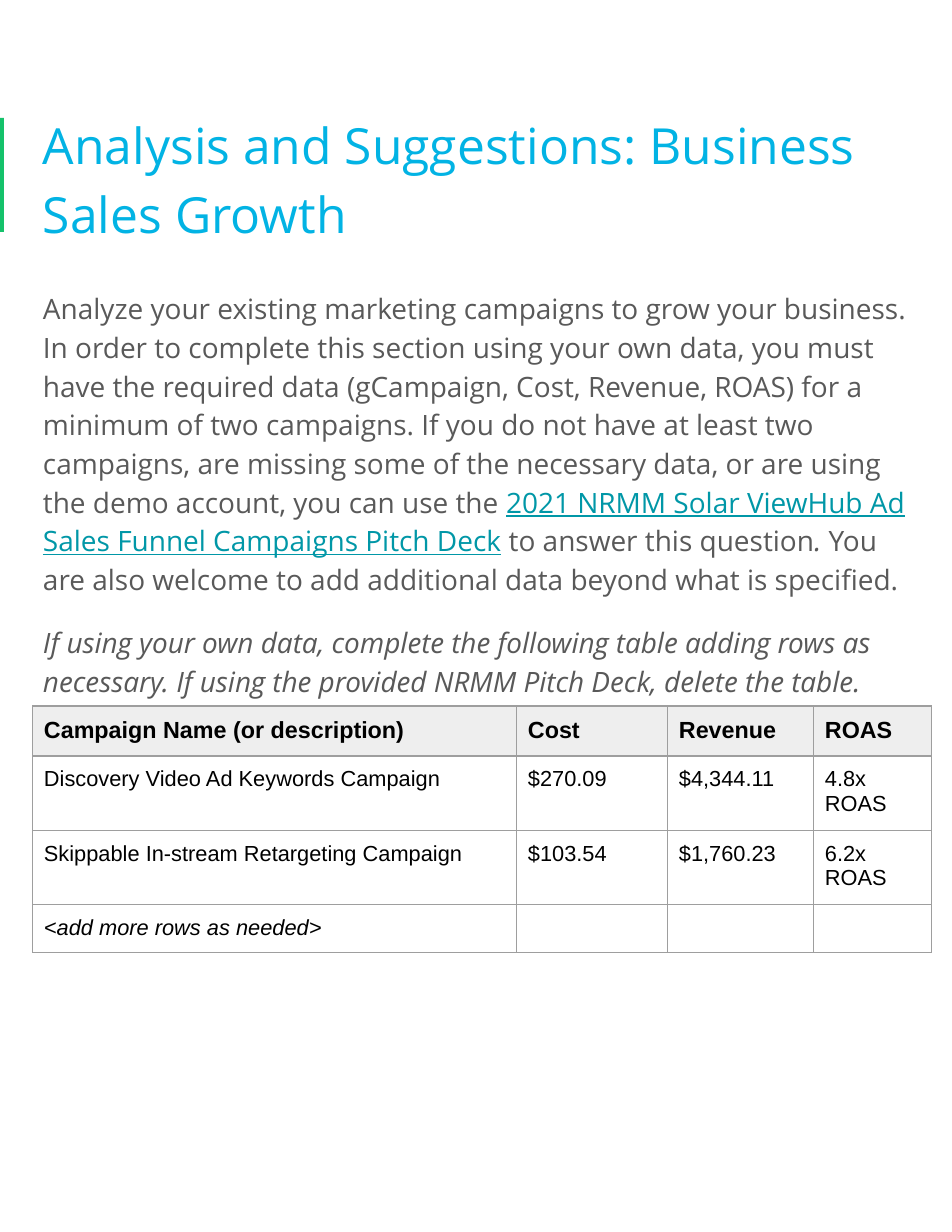
import pptx
import pptx.dml.color
import pptx.enum.shapes
import pptx.enum.text
import pptx.oxml
import pptx.oxml.ns
import pptx.util

PX = pptx.util.Inches(1) / 112
INSET = 11
COLORS = {
    "accent": "15C26B",
    "title": "02B3E4",
    "body": "595959",
    "link": "0097A7",
    "cell": "000000",
    "header": "EEEEEE",
    "border": "9E9E9E",
}


def px(*lengths):
    return [pptx.util.Emu(round(length * PX)) for length in lengths]


def add_run(paragraph, text, size, color, name="Open Sans", **formats):
    run = paragraph.add_run()
    run.text = text
    formats.update(size=pptx.util.Pt(size), name=name)
    for attribute, value in formats.items():
        setattr(run.font, attribute, value)
    run.font.color.rgb = pptx.dml.color.RGBColor.from_string(COLORS[color])


deck = pptx.Presentation()
deck.slide_width, deck.slide_height = px(952, 1232)
slide = deck.slides.add_slide(deck.slide_layouts[6])

accent_bar = slide.shapes.add_shape(
    pptx.enum.shapes.MSO_SHAPE.RECTANGLE, *px(0, 118, 4, 114))
accent_bar.shadow.inherit = False
accent_bar.fill.solid()
accent_bar.fill.fore_color.rgb = pptx.dml.color.RGBColor.from_string(COLORS["accent"])
accent_bar.line.fill.background()

# Title and body text
title = slide.shapes.add_textbox(*px(32, 106, 887, 137)).text_frame
body = slide.shapes.add_textbox(*px(32, 276, 887, 305)).text_frame
inset, = px(INSET)
frame_format = {
    "word_wrap": True,
    "margin_left": inset,
    "margin_right": inset,
    "margin_top": inset,
    "margin_bottom": inset,
}
for frame in (title, body):
    for attribute, value in frame_format.items():
        setattr(frame, attribute, value)
title.vertical_anchor = pptx.enum.text.MSO_ANCHOR.MIDDLE

heading = title.paragraphs[0]
add_run(heading, "Analysis and Suggestions: Business Sales Growth", 32, "title")

intro = body.paragraphs[0]
intro_runs = [
    ("Analyze your existing marketing campaigns to grow your business. In order to "
     "complete this section using your own data, you must have the required data "
     "(gCampaign, Cost, Revenue, ROAS) for a minimum of two campaigns. If you do not "
     "have at least two campaigns, are missing some of the necessary data, or are "
     "using the demo account, you can use the ", "body", {}),
    ("2021 NRMM Solar ViewHub Ad Sales Funnel Campaigns Pitch Deck",
     "link", {"underline": True}),
    (" ", "body", {"italic": True}),
    ("to answer this question", "body", {}),
    (". ", "body", {"italic": True}),
    ("You are also welcome to add additional data beyond what is specified.", "body", {}),
]
for text, color, formats in intro_runs:
    add_run(intro, text, 18, color, **formats)

instruction = body.add_paragraph()
instruction.space_before = instruction.space_after = pptx.util.Pt(16)
add_run(instruction,
        "If using your own data, complete the following table adding rows as necessary. "
        "If using the provided NRMM Pitch Deck, delete the table.",
        18, "body", italic=True)
for paragraph in (heading, intro, instruction):
    paragraph.line_spacing = 1.15

# Campaign table
campaigns = [
    ["Campaign Name (or description)", "Cost", "Revenue", "ROAS"],
    ["Discovery Video Ad Keywords Campaign", "$270.09", "$4,344.11", "4.8x ROAS"],
    ["Skippable In-stream Retargeting Campaign", "$103.54", "$1,760.23", "6.2x ROAS"],
    ["<add more rows as needed>", "", "", ""],
]
row_formats = [{"size": 15, "bold": True}, {"size": 14}, {"size": 14},
               {"size": 14, "italic": True}]
column_widths = px(484, 151, 146, 118)
row_heights = px(49, 71, 71, 47)

table = slide.shapes.add_table(4, 4, *px(33, 706, 899, 238)).table
table.first_row = table.horz_banding = False
for column, width in zip(table.columns, column_widths):
    column.width = width
for row, height in zip(table.rows, row_heights):
    row.height = height

cell_margins = {key: value for key, value in frame_format.items() if key != "word_wrap"}
for row_index, (texts, formats) in enumerate(zip(campaigns, row_formats)):
    for column_index, text in enumerate(texts):
        cell = table.cell(row_index, column_index)
        for attribute, value in cell_margins.items():
            setattr(cell, attribute, value)
        properties = cell._tc.get_or_add_tcPr()
        for side in "LRTB":
            properties.append(pptx.oxml.parse_xml(
                f'<a:ln{side} {pptx.oxml.ns.nsdecls("a")} w="9525"><a:solidFill>'
                f'<a:srgbClr val="{COLORS["border"]}"/></a:solidFill></a:ln{side}>'))
        if row_index == 0:
            cell.fill.solid()
            cell.fill.fore_color.rgb = pptx.dml.color.RGBColor.from_string(COLORS["header"])
        else:
            cell.fill.background()
        paragraph = cell.text_frame.paragraphs[0]
        if text:
            add_run(paragraph, text, color="cell", name="Arial", **formats)
        else:
            paragraph.font.size = pptx.util.Pt(formats["size"])

deck.save("out.pptx")
